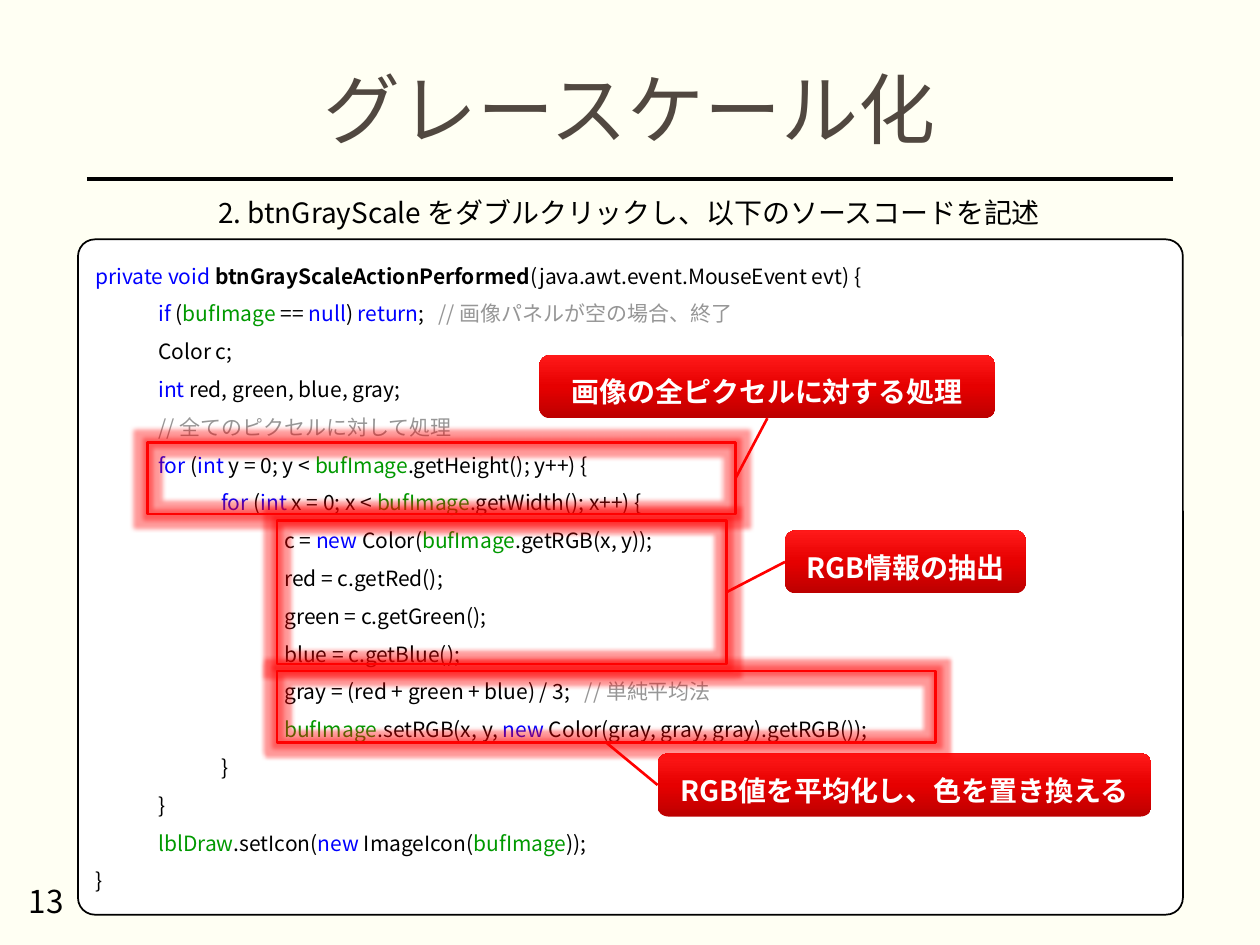
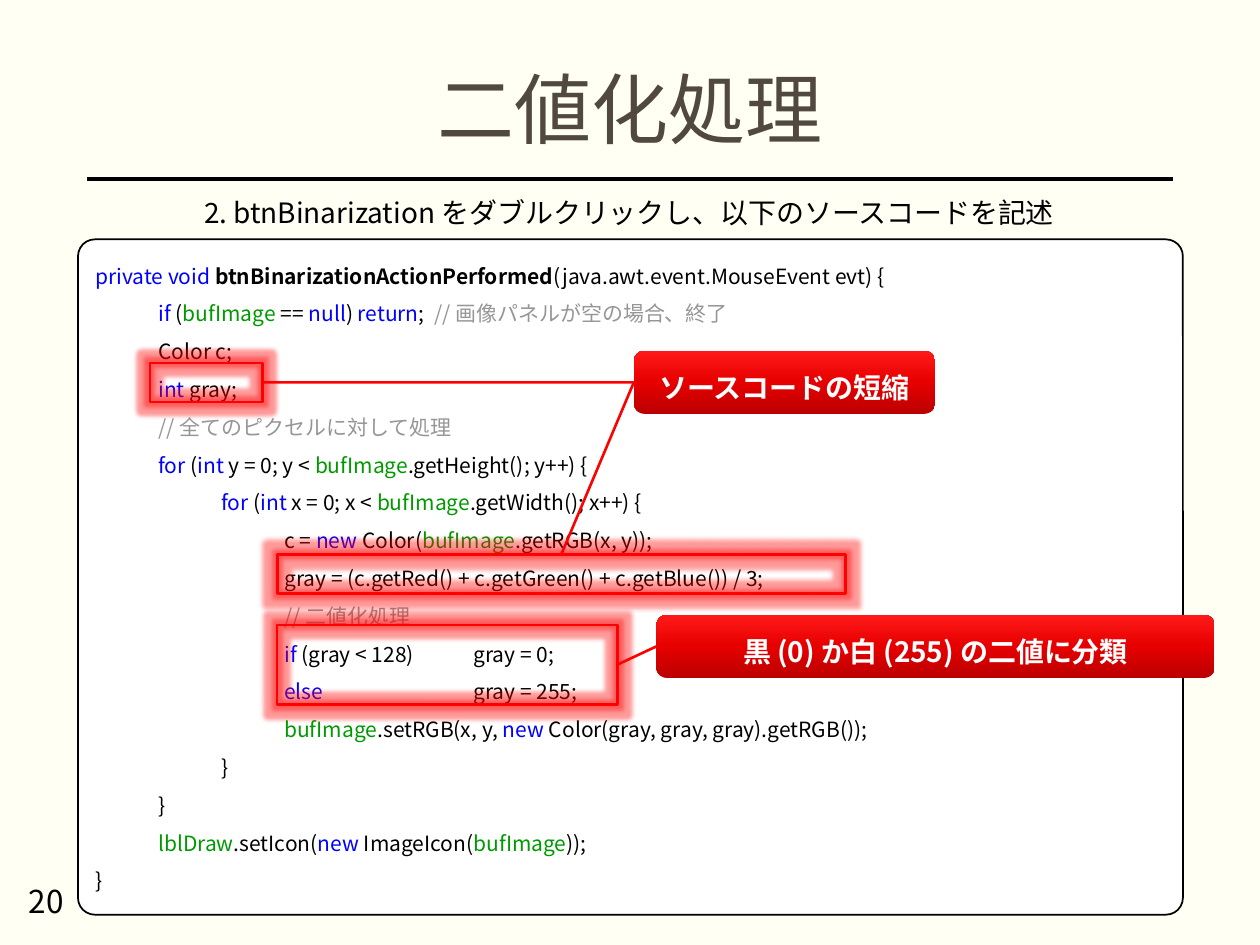
from copy import deepcopy
from dataclasses import dataclass
from itertools import groupby

from lxml import etree
from pptx import Presentation
from pptx.dml.color import RGBColor
from pptx.enum.shapes import MSO_CONNECTOR, MSO_SHAPE
from pptx.enum.text import MSO_ANCHOR, MSO_AUTO_SIZE, PP_ALIGN
from pptx.oxml.ns import qn
from pptx.util import Pt

LEFT, CENTER = PP_ALIGN.LEFT, PP_ALIGN.CENTER
TOP, MIDDLE = MSO_ANCHOR.TOP, MSO_ANCHOR.MIDDLE
RECTANGLE, ROUNDED = MSO_SHAPE.RECTANGLE, MSO_SHAPE.ROUNDED_RECTANGLE
STRAIGHT = MSO_CONNECTOR.STRAIGHT
NO_AUTOFIT = MSO_AUTO_SIZE.NONE

# Connection sites of a rectangle
SITE_TOP, SITE_LEFT, SITE_BOTTOM, SITE_RIGHT = range(4)


@dataclass(frozen=True)
class Theme:
    font: str = "Noto Sans CJK JP"
    paper: str = "FFFFF3"
    title: str = "514840"
    text: str = "000000"
    white: str = "FFFFFF"
    keyword: str = "0000FF"
    field: str = "009900"
    comment: str = "969696"
    accent: str = "FF0000"
    callout_stops: tuple = ((0, "BC0000"), (0.5, "E60000"), (1, "FF1919"))
    title_size: int = 44
    step_size: int = 16
    callout_size: int = 16
    code_size: int = 12
    number_size: int = 18


THEME = Theme()
KEYWORDS = {"private", "void", "if", "else", "for", "int", "new", "null", "return"}
FIELDS = {"bufImage", "lblDraw"}
TAB_STOPS = (36, 72, 108, 216)

CODE_START = """\
private void {handler}ActionPerformed(java.awt.event.MouseEvent evt) {{
	if (bufImage == null) return;{gap}// 画像パネルが空の場合、終了
	Color c;
	int {variables};
	// 全てのピクセルに対して処理
	for (int y = 0; y < bufImage.getHeight(); y++) {{
		for (int x = 0; x < bufImage.getWidth(); x++) {{
			c = new Color(bufImage.getRGB(x, y));
"""
CODE_END = """
		}
	}
	lblDraw.setIcon(new ImageIcon(bufImage));
}"""
GRAYSCALE_LOOP = """\
			red = c.getRed();
			green = c.getGreen();
			blue = c.getBlue();
			gray = (red + green + blue) / 3;   // 単純平均法
			bufImage.setRGB(x, y, new Color(gray, gray, gray).getRGB());"""
BINARIZATION_LOOP = """\
			gray = (c.getRed() + c.getGreen() + c.getBlue()) / 3;
			// 二値化処理
			if (gray < 128)	gray = 0;
			else	gray = 255;
			bufImage.setRGB(x, y, new Color(gray, gray, gray).getRGB());"""

# A callout: text, its bounds, its connection site, and (bounds, site) of each frame
PAGES = [
    dict(
        number="13", title="グレースケール化", handler="btnGrayScale",
        variables="red, green, blue, gray", gap="   ", loop=GRAYSCALE_LOOP,
        callouts=[
            ("画像の全ピクセルに対する処理", (308.2, 203, 260.6, 36), SITE_BOTTOM,
             [((84.2, 252.7, 336.2, 41), SITE_RIGHT)]),
            ("RGB情報の抽出", (448.6, 303.1, 137.5, 36), SITE_LEFT,
             [((158.4, 297.4, 256.7, 82.1), SITE_RIGHT)]),
            ("RGB値を平均化し、色を置き換える", (375.8, 430.6, 282.2, 36), SITE_LEFT,
             [((158.4, 383.4, 376.2, 41), SITE_BOTTOM)]),
        ],
    ),
    dict(
        number="20", title="二値化処理", handler="btnBinarization",
        variables="gray", gap="  ", loop=BINARIZATION_LOOP,
        callouts=[
            ("ソースコードの短縮", (362.2, 200.5, 172.1, 36), SITE_LEFT,
             [((85.7, 207.4, 64.5, 22.3), SITE_RIGHT),
              ((158.4, 316.8, 324.7, 22.3), SITE_TOP)]),
            ("黒 (0) か白 (255) の二値に分類", (375.1, 351.4, 319, 36), SITE_LEFT,
             [((158.4, 357.1, 194.4, 45.4), SITE_RIGHT)]),
        ],
    ),
]


def add_span(para, text, size, color, bold=False):
    span = para.add_run()
    span.text = text
    span.font.size = Pt(size)
    span.font.bold = bold
    span.font.color.rgb = RGBColor.from_string(color)
    span.font.name = THEME.font
    etree.SubElement(span.font._element, qn("a:ea"), typeface=THEME.font)


def code_spans(line):
    """Split a code line into (text, colour, bold) by its syntax."""
    code, slashes, remark = line.partition("//")
    spans = []
    for _, letters in groupby(code, str.isalnum):
        word = "".join(letters)
        color = (THEME.keyword if word in KEYWORDS
                 else THEME.field if word in FIELDS else THEME.text)
        spans.append((word, color, word.endswith("ActionPerformed")))
    spans.append((slashes + remark, THEME.comment, False))
    for style, group in groupby(spans, lambda span: span[1:]):
        text = "".join(span[0] for span in group)
        if text:
            yield text, *style


deck = Presentation()
deck.slide_width, deck.slide_height = Pt(720), Pt(540)
paper = deck.slide_master.background.fill
paper.solid()
paper.fore_color.rgb = RGBColor.from_string(THEME.paper)
title_only = deck.slide_layouts.get_by_name("Title Only")

for content in PAGES:
    page = deck.slides.add_slide(title_only)
    shapes = page.shapes
    connectors = []

    # Title and rule
    title = shapes.title
    title.left, title.top, title.width, title.height = map(Pt, (49.7, 33.8, 620.6, 62))
    title.text_frame.auto_size = NO_AUTOFIT
    title.text_frame.vertical_anchor = MIDDLE
    para = title.text_frame.paragraphs[0]
    para.alignment, para.line_spacing = CENTER, 0.9
    add_span(para, content["title"], THEME.title_size, THEME.title)
    rule = shapes.add_connector(STRAIGHT, Pt(49.7), Pt(102.2), Pt(670.3), Pt(102.2))
    connectors.append((rule, THEME.text, 2))

    # Source code
    panel = shapes.add_shape(ROUNDED, Pt(44.6), Pt(136.8), Pt(631.4), Pt(385.9))
    panel.adjustments[0] = 0.025
    panel.shadow.inherit = False
    panel.fill.solid()
    panel.fill.fore_color.rgb = RGBColor.from_string(THEME.white)
    panel.line.color.rgb = RGBColor.from_string(THEME.text)
    panel.line.width = Pt(1)
    frame = panel.text_frame
    frame.word_wrap, frame.vertical_anchor = True, TOP
    code = CODE_START.format(**content) + content["loop"] + CODE_END
    for index, line in enumerate(code.split("\n")):
        para = frame.add_paragraph() if index else frame.paragraphs[0]
        para.alignment, para.line_spacing = LEFT, 1.5
        tabs = etree.SubElement(para._p.get_or_add_pPr(), qn("a:tabLst"))
        for stop in TAB_STOPS:
            etree.SubElement(tabs, qn("a:tab"), pos=str(Pt(stop)), algn="l")
        for text, color, bold in code_spans(line):
            add_span(para, text, THEME.code_size, color, bold)

    # Step and page number
    step = f"2. {content['handler']} をダブルクリックし、以下のソースコードを記述"
    for text, bounds, size, alignment in (
        (step, (43.2, 108, 632.9, 26.6), THEME.step_size, CENTER),
        (content["number"], (9.4, 500.4, 162, 28.8), THEME.number_size, LEFT),
    ):
        box = shapes.add_textbox(*map(Pt, bounds))
        box.text_frame.word_wrap = True
        para = box.text_frame.paragraphs[0]
        para.alignment = alignment
        add_span(para, text, size, THEME.text)

    # Callouts with the code they mark
    for text, bounds, callout_site, marks in content["callouts"]:
        callout = shapes.add_shape(ROUNDED, *map(Pt, bounds))
        callout.shadow.inherit = False
        callout.line.fill.background()
        callout.fill.gradient()
        callout.fill.gradient_angle = 90
        stops = callout._element.spPr.find(".//" + qn("a:gsLst"))
        stops.insert(1, deepcopy(stops[0]))
        for stop, (position, color) in zip(callout.fill.gradient_stops, THEME.callout_stops):
            stop.position = position
            stop.color.rgb = RGBColor.from_string(color)
        frame = callout.text_frame
        frame.word_wrap, frame.vertical_anchor = True, MIDDLE
        frame.margin_left = frame.margin_right = frame.margin_bottom = 0
        frame.margin_top = Pt(5.8)
        para = frame.paragraphs[0]
        para.alignment = CENTER
        add_span(para, text, THEME.callout_size, THEME.white, bold=True)

        for mark_bounds, mark_site in marks:
            mark = shapes.add_shape(RECTANGLE, *map(Pt, mark_bounds))
            mark.fill.background()
            mark.line.color.rgb = RGBColor.from_string(THEME.accent)
            mark.line.width = Pt(1.5)
            effects = etree.SubElement(mark._element.spPr, qn("a:effectLst"))
            glow = etree.SubElement(effects, qn("a:glow"), rad=str(Pt(5)))
            tint = etree.SubElement(glow, qn("a:srgbClr"), val=THEME.accent)
            etree.SubElement(tint, qn("a:alpha"), val="40000")

            leader = shapes.add_connector(STRAIGHT, 0, 0, 0, 0)
            leader.begin_connect(callout, callout_site)
            leader.end_connect(mark, mark_site)
            connectors.append((leader, THEME.accent, 1.5))

    for connector, color, width in connectors:
        connector.line.color.rgb = RGBColor.from_string(color)
        connector.line.width = Pt(width)
        etree.SubElement(connector._element.spPr, qn("a:effectLst"))

deck.save("out.pptx")
